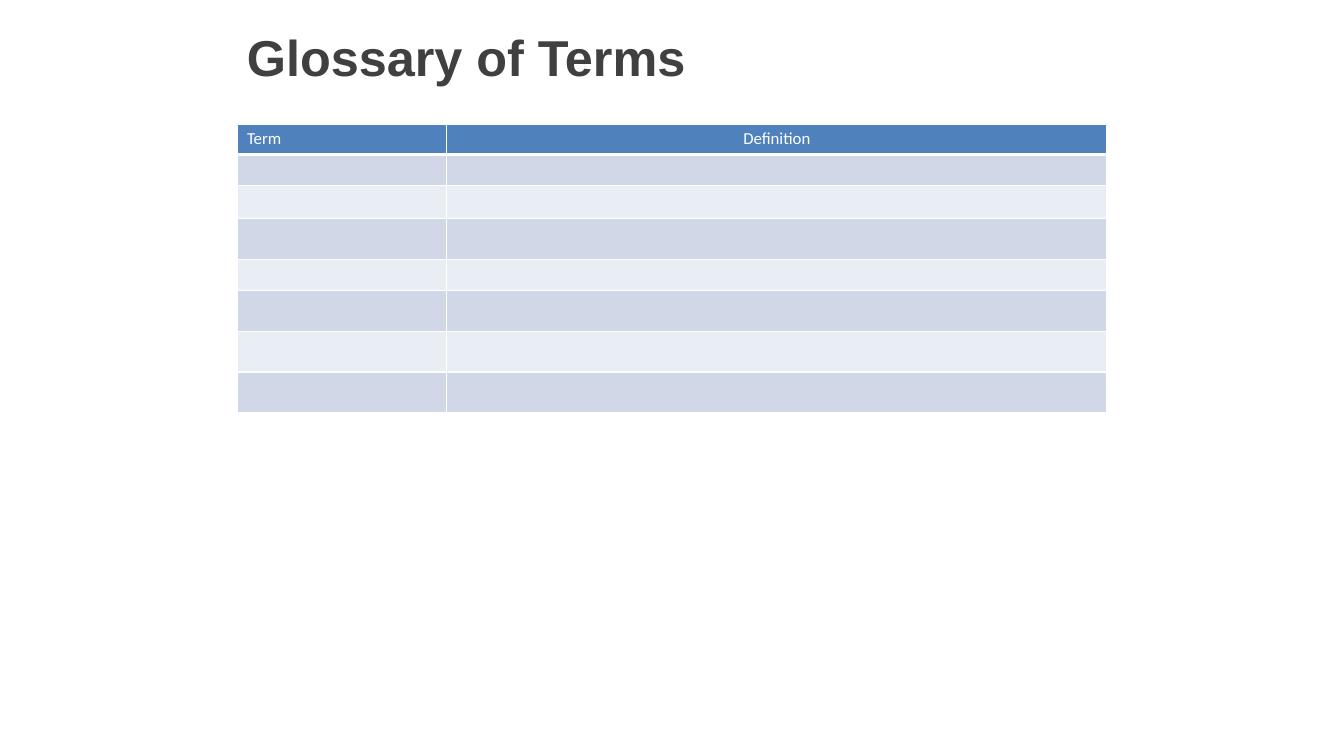
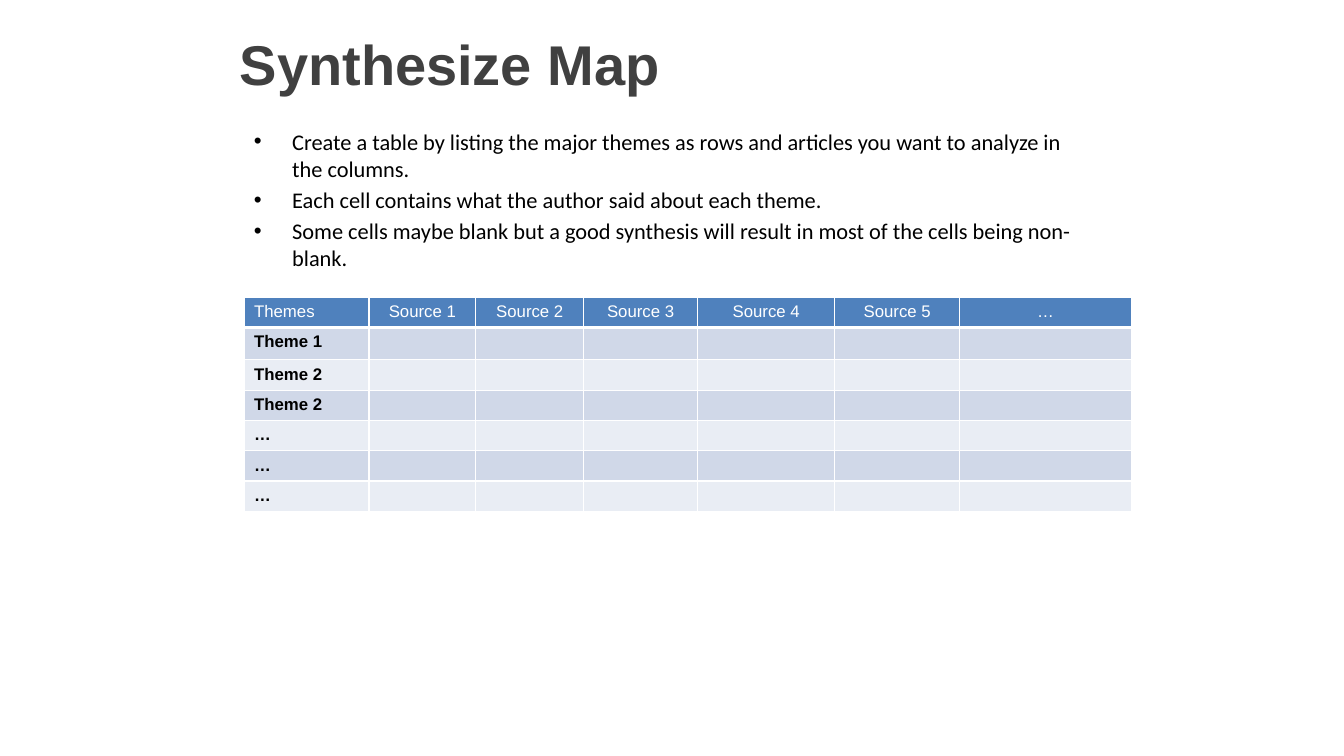
from dataclasses import dataclass

from lxml import etree
from pptx import Presentation
from pptx.dml.color import RGBColor
from pptx.enum.text import MSO_ANCHOR, PP_ALIGN
from pptx.oxml.ns import qn
from pptx.util import Inches, Pt

MIDDLE = MSO_ANCHOR.MIDDLE
TOP = MSO_ANCHOR.TOP
LEFT = PP_ALIGN.LEFT
CENTER = PP_ALIGN.CENTER

COLORS = {
    "title": "404040",
    "text": "000000",
    "white": "FFFFFF",
    "header": "4F81BD",
    "band_dark": "D0D8E8",
    "band_light": "E9EDF4",
}
TABLE_TEXT_SIZE = 12
BULLET_INDENT = Inches(0.38)


@dataclass(frozen=True)
class Area:
    left: float
    top: float
    width: float
    height: float

    def lengths(self) -> list:
        return [Inches(n) for n in (self.left, self.top, self.width, self.height)]


@dataclass(frozen=True)
class Title:
    text: str
    area: Area
    size: int
    top_inset: float = 0.05


@dataclass(frozen=True)
class Grid:
    """A table: its header, the labels of its first column and its sizes."""
    left: float
    top: float
    font: str
    header: list[str]
    labels: list[str]
    columns: list[float]
    rows: list[float]


GLOSSARY_TITLE = Title("Glossary of Terms", Area(2.35, 0.18, 8.48, 0.68), 36, 0.13)
GLOSSARY = Grid(
    2.35, 1.23, "Calibri",
    header=["Term", "Definition"],
    labels=[""] * 7,
    columns=[2.08, 6.55],
    rows=[0.3, 0.3, 0.33, 0.41, 0.3, 0.41, 0.4, 0.4],
)

MAP_TITLE = Title("Synthesize Map", Area(2.28, 0.22, 8.48, 0.81), 40)
MAP_ADVICE = [
    "Create a table by listing the major themes as rows and articles you want "
    "to analyze in the columns.",
    "Each cell contains what the author said about each theme.",
    "Some cells maybe blank but a good synthesis will result in most of the "
    "cells being non-blank.",
]
MAP_ADVICE_AREA = Area(2.42, 1.22, 8.47, 1.53)
THEME_MAP = Grid(
    2.42, 2.95, "Arial",
    header=["Themes", *(f"Source {n}" for n in range(1, 6)), "…"],
    labels=["Theme 1", "Theme 2", "Theme 2", "…", "…", "…"],
    columns=[1.24, 1.06, 1.07, 1.13, 1.36, 1.24, 1.7],
    rows=[0.29, 0.32] + [0.29] * 5,
)


def add_span(para, text: str, color: str, **formats) -> None:
    span = para.add_run()
    span.text = text
    for name, value in formats.items():
        setattr(span.font, name, value)
    span.font.color.rgb = RGBColor.from_string(COLORS[color])


def add_text_frame(page, area: Area, anchor):
    frame = page.shapes.add_textbox(*area.lengths()).text_frame
    frame.word_wrap = True
    frame.vertical_anchor = anchor
    return frame


def add_title(page, title: Title) -> None:
    frame = add_text_frame(page, title.area, MIDDLE)
    frame.margin_top = Inches(title.top_inset)
    add_span(frame.paragraphs[0], title.text, "title",
             name="Arial", size=Pt(title.size), bold=True)


def add_bullets(page, area: Area, lines: list[str]) -> None:
    frame = add_text_frame(page, area, TOP)
    for index, line in enumerate(lines):
        para = frame.add_paragraph() if index else frame.paragraphs[0]
        if index:
            para.space_before = Pt(3.2)
        properties = para._p.get_or_add_pPr()
        properties.set("marL", str(BULLET_INDENT))
        properties.set("indent", str(-BULLET_INDENT))
        etree.SubElement(properties, qn("a:buFont"), typeface="Arial")
        etree.SubElement(properties, qn("a:buChar"), char="•")
        add_span(para, line, "text", name="Calibri", size=Pt(16))


def set_borders(cell, bottom_width: int) -> None:
    properties = cell._tc.get_or_add_tcPr()
    for side, width in {"L": 1, "R": 1, "T": 1, "B": bottom_width}.items():
        line = etree.SubElement(properties, qn(f"a:ln{side}"), w=str(Pt(width)))
        fill = etree.SubElement(line, qn("a:solidFill"))
        etree.SubElement(fill, qn("a:srgbClr"), val=COLORS["white"])


def fill_cell(cell, text: str, font: str, fill: str, is_header: bool, align) -> None:
    set_borders(cell, 3 if is_header else 1)
    cell.fill.solid()
    cell.fill.fore_color.rgb = RGBColor.from_string(COLORS[fill])
    para = cell.text_frame.paragraphs[0]
    para.alignment = align
    if text:
        add_span(para, text, "white" if is_header else "text",
                 name=font, size=Pt(TABLE_TEXT_SIZE), bold=not is_header)
    else:
        # Keeps an empty row from growing to the default text size
        end = etree.SubElement(para._p, qn("a:endParaRPr"),
                               sz=str(TABLE_TEXT_SIZE * 100))
        etree.SubElement(end, qn("a:latin"), typeface=font)


def add_grid(page, grid: Grid) -> None:
    area = Area(grid.left, grid.top, sum(grid.columns), sum(grid.rows))
    table = page.shapes.add_table(
        len(grid.rows), len(grid.columns), *area.lengths()).table
    for column, width in zip(table.columns, grid.columns):
        column.width = Inches(width)
    for row, height in zip(table.rows, grid.rows):
        row.height = Inches(height)

    blanks = [""] * (len(grid.columns) - 1)
    contents = [grid.header] + [[label, *blanks] for label in grid.labels]
    for row_index, texts in enumerate(contents):
        is_header = row_index == 0
        band = "band_dark" if row_index % 2 else "band_light"
        for column_index, text in enumerate(texts):
            fill_cell(table.cell(row_index, column_index), text, grid.font,
                      "header" if is_header else band, is_header,
                      CENTER if is_header and column_index else LEFT)


def main() -> None:
    deck = Presentation()
    deck.slide_width = Inches(13.33)
    deck.slide_height = Inches(7.5)
    blank = deck.slide_layouts[6]

    glossary_page = deck.slides.add_slide(blank)
    add_grid(glossary_page, GLOSSARY)
    add_title(glossary_page, GLOSSARY_TITLE)

    map_page = deck.slides.add_slide(blank)
    add_bullets(map_page, MAP_ADVICE_AREA, MAP_ADVICE)
    add_title(map_page, MAP_TITLE)
    add_grid(map_page, THEME_MAP)

    deck.save("out.pptx")


if __name__ == "__main__":
    main()
